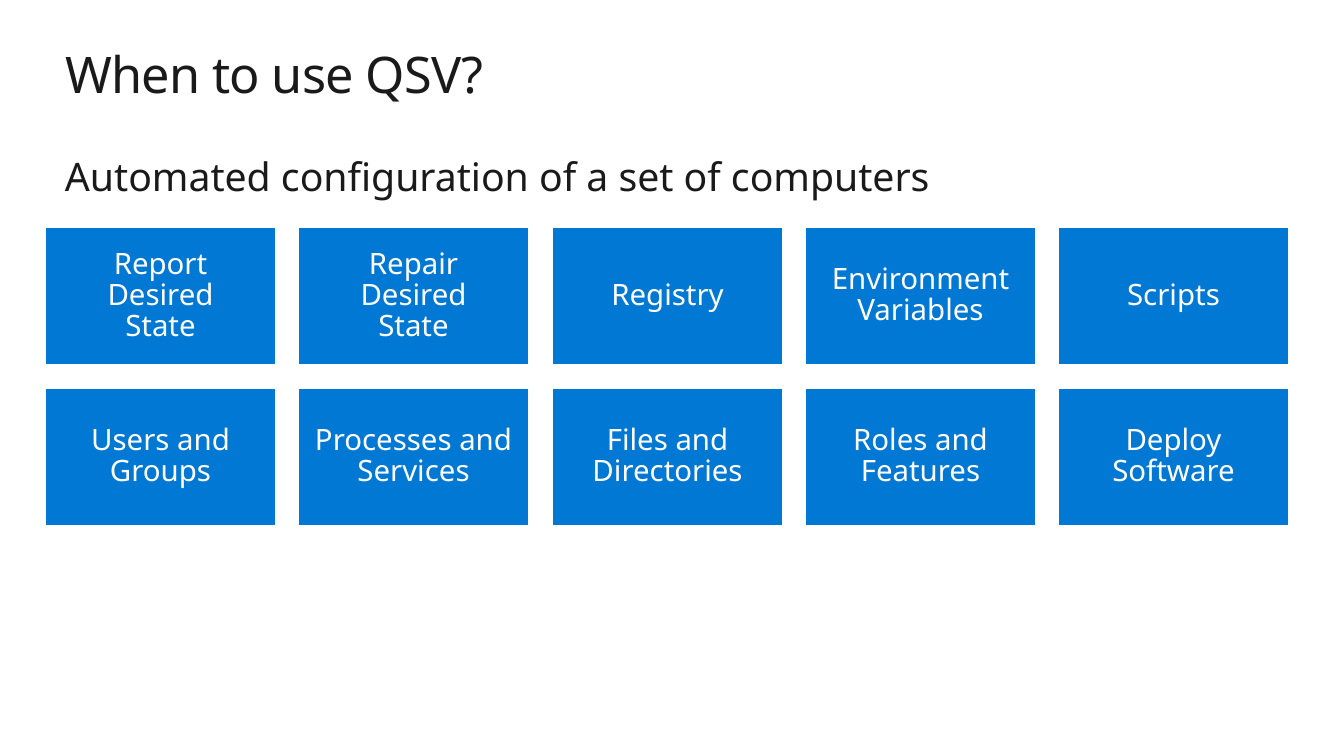
from pptx import Presentation
from pptx.dml.color import RGBColor
from pptx.enum.shapes import MSO_SHAPE
from pptx.enum.text import MSO_ANCHOR, PP_ALIGN
from pptx.util import Emu, Pt

RECT = MSO_SHAPE.RECTANGLE
TOP, MIDDLE = MSO_ANCHOR.TOP, MSO_ANCHOR.MIDDLE
LEFT, CENTER = PP_ALIGN.LEFT, PP_ALIGN.CENTER
EMU_PER_PX = 914400 / 100.8
FONT = "Noto Sans"
DARK, BLUE, WHITE = "1A1A1A", "0078D4", "FFFFFF"

TILE_LEFT, TILE_TOP = 45, 227
TILE_WIDTH, TILE_HEIGHT = 231, 138
COLUMN_STEP, ROW_STEP = 253.3, 161
TILE_ROWS = [
    ["Report\nDesired\nState", "Repair\nDesired\nState", "Registry",
     "Environment Variables", "Scripts"],
    ["Users and\nGroups", "Processes and Services",
     "Files and\nDirectories", "Roles and\nFeatures", "Deploy\nSoftware"],
]


def px(value):
    """Convert pixels to EMU."""
    return Emu(round(value * EMU_PER_PX))


def color(hex_string):
    """Turn a hex string into a colour."""
    return RGBColor.from_string(hex_string)


def write(s, text, size, font_color, align, anchor, inset=0, spacing=0.9):
    """Fill a shape with one paragraph per line of text."""
    tf = s.text_frame
    tf.word_wrap = True
    tf.vertical_anchor = anchor
    tf.margin_left = tf.margin_right = px(inset)
    tf.margin_top = tf.margin_bottom = px(inset)
    for i, line in enumerate(text.split("\n")):
        p = tf.add_paragraph() if i else tf.paragraphs[0]
        p.alignment = align
        p.line_spacing = spacing
        r = p.add_run()
        r.text = line
        r.font.name = FONT
        r.font.size = Pt(size)
        r.font.color.rgb = color(font_color)


def add_title(slide, text):
    """Place and format the title placeholder."""
    s = slide.shapes.title
    s.left, s.top, s.width, s.height = px(65), px(50), px(1215), px(62)
    write(s, text, 36, DARK, LEFT, TOP)
    for r in s.text_frame.paragraphs[0].runs:
        r.font._element.set("spc", "-50")


def add_subtitle(slide, text):
    """Add the line of text under the title."""
    s = slide.shapes.add_textbox(px(65), px(158), px(1215), px(47))
    write(s, text, 28, DARK, LEFT, TOP)


def add_tile(slide, text, left, top):
    """Add one blue tile with a centred label."""
    s = slide.shapes.add_shape(RECT, px(left), px(top),
                               px(TILE_WIDTH), px(TILE_HEIGHT))
    s.shadow.inherit = False
    s.fill.solid()
    s.fill.fore_color.rgb = color(BLUE)
    s.line.color.rgb = color(WHITE)
    s.line.width = Pt(0.85)
    write(s, text, 21, WHITE, CENTER, MIDDLE, inset=9, spacing=0.88)


def main():
    """Build the slide and save it."""
    prs = Presentation()
    prs.slide_width, prs.slide_height = px(1344), px(756)
    slide = prs.slides.add_slide(prs.slide_layouts[5])
    add_title(slide, "When to use QSV?")
    add_subtitle(slide, "Automated configuration of a set of computers")
    for row, labels in enumerate(TILE_ROWS):
        for column, label in enumerate(labels):
            add_tile(slide, label, round(TILE_LEFT + column * COLUMN_STEP),
                     TILE_TOP + row * ROW_STEP)
    prs.save("out.pptx")


main()
